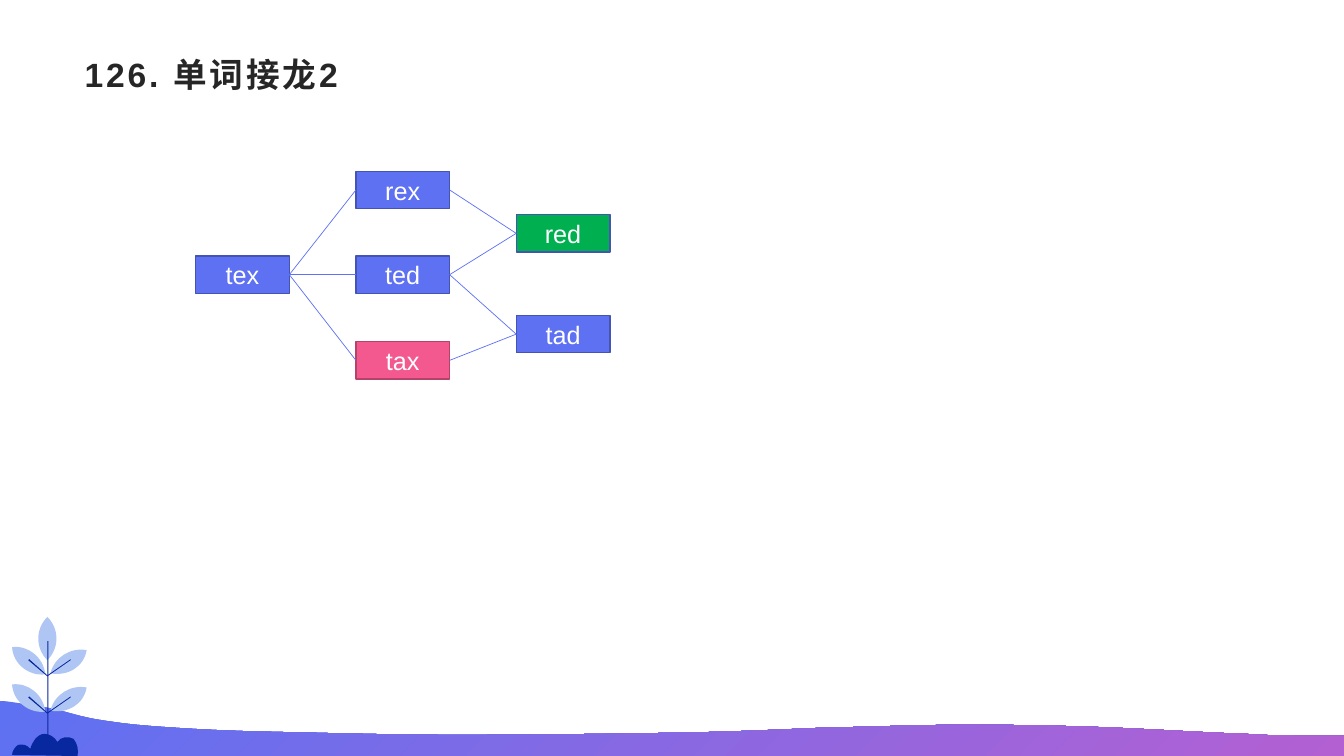
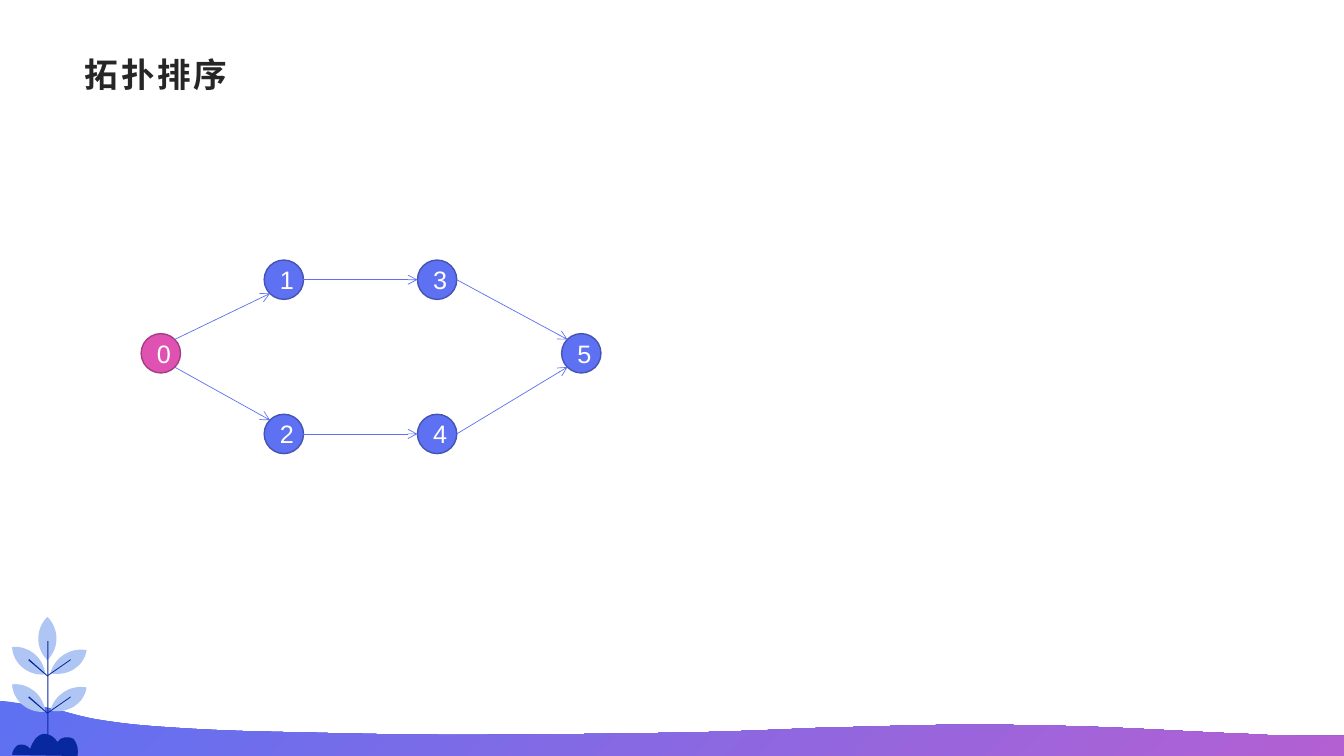
from dataclasses import dataclass

from lxml import etree
from pptx import Presentation
from pptx.dml.color import RGBColor
from pptx.enum.shapes import MSO_CONNECTOR, MSO_SHAPE
from pptx.enum.text import MSO_ANCHOR, MSO_AUTO_SIZE, PP_ALIGN
from pptx.oxml.ns import qn
from pptx.util import Inches, Pt

RECT, OVAL = MSO_SHAPE.RECTANGLE, MSO_SHAPE.OVAL
STRAIGHT = MSO_CONNECTOR.STRAIGHT
LEFT, CENTER, MIDDLE = PP_ALIGN.LEFT, PP_ALIGN.CENTER, MSO_ANCHOR.MIDDLE
NO_FIT = MSO_AUTO_SIZE.NONE
TITLE_ONLY = 5


@dataclass(frozen=True)
class Theme:
    font: str = "Arial"
    title_size: int = 24
    node_size: int = 18
    title_spacing: int = 2
    border: float = 1
    link: float = 0.5
    ink: str = "262626"
    white: str = "FFFFFF"
    blue: str = "5D71F2"
    blue_edge: str = "4554B3"
    purple: str = "B360D3"
    leaf: str = "AFC6F5"
    navy: str = "07289E"
    pink: str = "F3598E"
    pink_edge: str = "B44269"
    green: str = "00B050"
    magenta: str = "DF52B1"
    magenta_edge: str = "A53D83"


THEME = Theme()


@dataclass(frozen=True)
class Grid:
    """Left edges of columns, top edges of rows, and the node size, in inches."""
    columns: tuple
    rows: tuple
    width: float
    height: float

    def box(self, column, row):
        sides = self.columns[column], self.rows[row], self.width, self.height
        return [Inches(side) for side in sides]


# Connection sites: index, then the share of the node's width and height
RECT_SITES = {"left": (1, 0, 0.5), "right": (3, 1, 0.5)}
OVAL_SITES = {"top left": (1, 0.15, 0.15), "left": (2, 0, 0.5),
              "bottom left": (3, 0.15, 0.85), "bottom right": (5, 0.85, 0.85),
              "right": (6, 1, 0.5), "top right": (7, 0.85, 0.15)}

# Outlines: a pair is a line to a point, six numbers are a Bezier curve
WAVE = [
    (-0.01, 6.95), (0.08, 6.96), (0.23, 6.98, 0.34, 7, 0.47, 7.02),
    (0.67, 7.06, 0.79, 7.11, 0.98, 7.14), (1.17, 7.17, 1.31, 7.19, 1.6, 7.21),
    (1.88, 7.23, 2.22, 7.25, 2.71, 7.26), (3.2, 7.27, 3.88, 7.29, 4.54, 7.29),
    (5.2, 7.29, 6.06, 7.28, 6.66, 7.27), (7.27, 7.26, 7.66, 7.24, 8.15, 7.22),
    (8.64, 7.21, 9.12, 7.19, 9.61, 7.19), (10.1, 7.19, 10.62, 7.2, 11.08, 7.22),
    (11.54, 7.24, 12.01, 7.27, 12.35, 7.28), (12.68, 7.3, 12.8, 7.3, 13.1, 7.3),
    (13.14, 7.3, 13.18, 7.3, 13.23, 7.3),
    (13.33, 7.3), (13.33, 7.5), (-0.01, 7.5), (-0.01, 6.95),
]
TOP_LEAF = [(0.47, 6.12), (0.35, 6.24, 0.35, 6.43, 0.47, 6.55),
            (0.59, 6.43, 0.59, 6.24, 0.47, 6.12)]
RIGHT_LEAF = [(0.86, 6.45), (0.7, 6.42, 0.54, 6.52, 0.5, 6.68),
              (0.67, 6.71, 0.83, 6.62, 0.86, 6.45)]
LEFT_LEAF = [(0.45, 6.69), (0.43, 6.52, 0.28, 6.4, 0.12, 6.42),
             (0.13, 6.59, 0.29, 6.71, 0.45, 6.69)]
TWIGS = [(0.47, 6.71), (0.28, 6.55), (0.29, 6.54), (0.47, 6.7),
         (0.7, 6.54), (0.7, 6.55), (0.47, 6.71)]
BUSH = [
    (0.12, 7.49), (0.12, 7.45, 0.15, 7.41, 0.18, 7.39),
    (0.23, 7.38, 0.27, 7.39, 0.3, 7.43), (0.31, 7.39, 0.33, 7.36, 0.35, 7.33),
    (0.37, 7.31, 0.4, 7.28, 0.44, 7.28), (0.49, 7.28, 0.54, 7.31, 0.57, 7.36),
    (0.6, 7.31, 0.68, 7.3, 0.73, 7.33), (0.77, 7.38, 0.78, 7.44, 0.77, 7.5),
    (0.12, 7.49),
]
TIER_GAP = 0.37


def rgb(value):
    return RGBColor.from_string(value)


def apply(target, values):
    for name, value in values.items():
        setattr(target, name, value)


def style_font(font, size, color, bold=False):
    apply(font, {"name": THEME.font, "size": Pt(size), "bold": bold})
    font.color.rgb = rgb(color)


def paint(shape, color):
    shape.shadow.inherit = False
    shape.fill.solid()
    shape.fill.fore_color.rgb = rgb(color)
    shape.line.fill.background()


# Shared decoration
def bend(shape, outline):
    """Merge each three line steps that stand for a curve into that curve."""
    steps = iter(list(shape.element.iter(qn("a:lnTo"))))
    for segment in outline[1:]:
        first = next(steps)
        if len(segment) == 2:
            continue
        curve = etree.Element(qn("a:cubicBezTo"))
        first.addprevious(curve)
        for step in (first, next(steps), next(steps)):
            curve.append(step[0])
            step.getparent().remove(step)


def add_outline(shapes, outline, color, drop=0):
    points = [(Inches(segment[n]), Inches(segment[n + 1] + drop))
              for segment in outline for n in range(0, len(segment), 2)]
    builder = shapes.build_freeform(*points[0])
    builder.add_line_segments(points[1:], close=False)
    shape = builder.convert_to_shape()
    bend(shape, outline)
    etree.SubElement(shape.element.find(".//" + qn("a:path")), qn("a:close"))
    paint(shape, color)
    return shape


def add_wave(shapes):
    wave = add_outline(shapes, WAVE, THEME.blue)
    wave.fill.gradient()
    wave.fill.gradient_angle = 315
    for stop, color in zip(wave.fill.gradient_stops, (THEME.blue, THEME.purple)):
        stop.color.rgb = rgb(color)
    return wave


def add_plant(shapes):
    plant = shapes.add_group_shape()
    tiers = (TIER_GAP, 0)
    for drop in tiers:
        for leaf in (RIGHT_LEAF, LEFT_LEAF):
            add_outline(plant.shapes, leaf, THEME.leaf, drop)
    add_outline(plant.shapes, TOP_LEAF, THEME.leaf)
    stem = plant.shapes.add_shape(
        RECT, Inches(0.47), Inches(6.36), Inches(0.01), Inches(1.06))
    paint(stem, THEME.navy)
    for drop in tiers:
        add_outline(plant.shapes, TWIGS, THEME.navy, drop)
    add_outline(plant.shapes, BUSH, THEME.navy)
    return plant


def decorate_layout(layout, slide):
    """Draw the scenery once and hand it to the layout."""
    tree = layout.shapes.element
    for part in (add_wave(slide.shapes), add_plant(slide.shapes)):
        tree.append(part.element)
    for number, properties in enumerate(tree.iter(qn("p:cNvPr")), 1):
        properties.set("id", str(number))


# Slide elements
def set_title(slide, text):
    title = slide.shapes.title
    apply(title, {"left": Inches(0.73), "top": Inches(0.49),
                  "width": Inches(11.87), "height": Inches(0.48)})
    frame = title.text_frame
    apply(frame, {"margin_left": Inches(0.11), "margin_right": Inches(0.08),
                  "margin_top": Inches(0.04), "margin_bottom": Inches(0.04),
                  "vertical_anchor": MIDDLE, "auto_size": NO_FIT, "word_wrap": True})
    frame.text = text
    paragraph = frame.paragraphs[0]
    paragraph.alignment = LEFT
    style_font(paragraph.runs[0].font, THEME.title_size, THEME.ink, bold=True)
    for properties in title.element.iter(qn("a:rPr")):
        properties.set("spc", str(THEME.title_spacing * 100))


def add_node(slide, kind, box, label, fill, edge):
    node = slide.shapes.add_shape(kind, *box)
    paint(node, fill)
    node.line.color.rgb = rgb(edge)
    node.line.width = Pt(THEME.border)
    node.text_frame.vertical_anchor = MIDDLE
    paragraph = node.text_frame.paragraphs[0]
    paragraph.alignment = CENTER
    run = paragraph.add_run()
    run.text = label
    style_font(run.font, THEME.node_size, THEME.white)
    return node


def add_link(slide, ends, arrow):
    """Join two (node, site) ends with a glued straight line."""
    points = [position for node, (_, across, down) in ends
              for position in (node.left + round(node.width * across),
                               node.top + round(node.height * down))]
    link = slide.shapes.add_connector(STRAIGHT, *points)
    link.line.color.rgb = rgb(THEME.blue)
    link.line.width = Pt(THEME.link)
    glue = link.element.find(".//" + qn("p:cNvCxnSpPr"))
    for tag, (node, site) in zip(("a:stCxn", "a:endCxn"), ends):
        etree.SubElement(glue, qn(tag), id=str(node.shape_id), idx=str(site[0]))
    if arrow:
        etree.SubElement(link.element.find(".//" + qn("a:ln")),
                         qn("a:tailEnd"), type="arrow")
    etree.SubElement(link.element.find(qn("p:spPr")), qn("a:effectLst"))


def add_graph(slide, kind, grid, nodes, links, sites, arrow=False):
    placed = {label: add_node(slide, kind, grid.box(column, row), label, *colors)
              for label, column, row, colors in nodes}
    for start, start_site, end, end_site in links:
        add_link(slide, [(placed[start], sites[start_site]),
                         (placed[end], sites[end_site])], arrow)


# Slides
def build_word_ladder(slide):
    set_title(slide, "126. 单词接龙2")
    plain = (THEME.blue, THEME.blue_edge)
    grid = Grid(columns=tuple(1.94 + 1.59 * n for n in range(3)),
                rows=(1.7, 2.13, 2.54, 3.13, 3.39), width=0.93, height=0.37)
    words = [("tex", 0, 2, plain), ("rex", 1, 0, plain),
             ("tax", 1, 4, (THEME.pink, THEME.pink_edge)), ("ted", 1, 2, plain),
             ("red", 2, 1, (THEME.green, THEME.blue_edge)), ("tad", 2, 3, plain)]
    steps = [("tex", "tax"), ("tex", "rex"), ("ted", "red"), ("rex", "red"),
             ("tax", "tad"), ("ted", "tad"), ("tex", "ted")]
    links = [(start, "right", end, "left") for start, end in steps]
    add_graph(slide, RECT, grid, words, links, RECT_SITES)


def build_topological_sort(slide):
    set_title(slide, "拓扑排序")
    plain = (THEME.blue, THEME.blue_edge)
    grid = Grid(columns=(1.4, 2.62, 4.14, 5.57), rows=(2.58, 3.31, 4.11),
                width=0.39, height=0.39)
    vertices = [("0", 0, 1, (THEME.magenta, THEME.magenta_edge)),
                ("1", 1, 0, plain), ("2", 1, 2, plain), ("3", 2, 0, plain),
                ("4", 2, 2, plain), ("5", 3, 1, plain)]
    edges = [("0", "top right", "1", "bottom left"), ("1", "right", "3", "left"),
             ("0", "bottom right", "2", "top left"), ("3", "right", "5", "top left"),
             ("2", "right", "4", "left"), ("4", "right", "5", "bottom left")]
    add_graph(slide, OVAL, grid, vertices, edges, OVAL_SITES, arrow=True)


def main():
    deck = Presentation()
    apply(deck, {"slide_width": Inches(13.33), "slide_height": Inches(7.5)})
    layout = deck.slide_layouts[TITLE_ONLY]
    builders = (build_word_ladder, build_topological_sort)
    slides = [deck.slides.add_slide(layout) for _ in builders]
    decorate_layout(layout, slides[0])
    for build, slide in zip(builders, slides):
        build(slide)
    deck.save("out.pptx")


if __name__ == "__main__":
    main()
